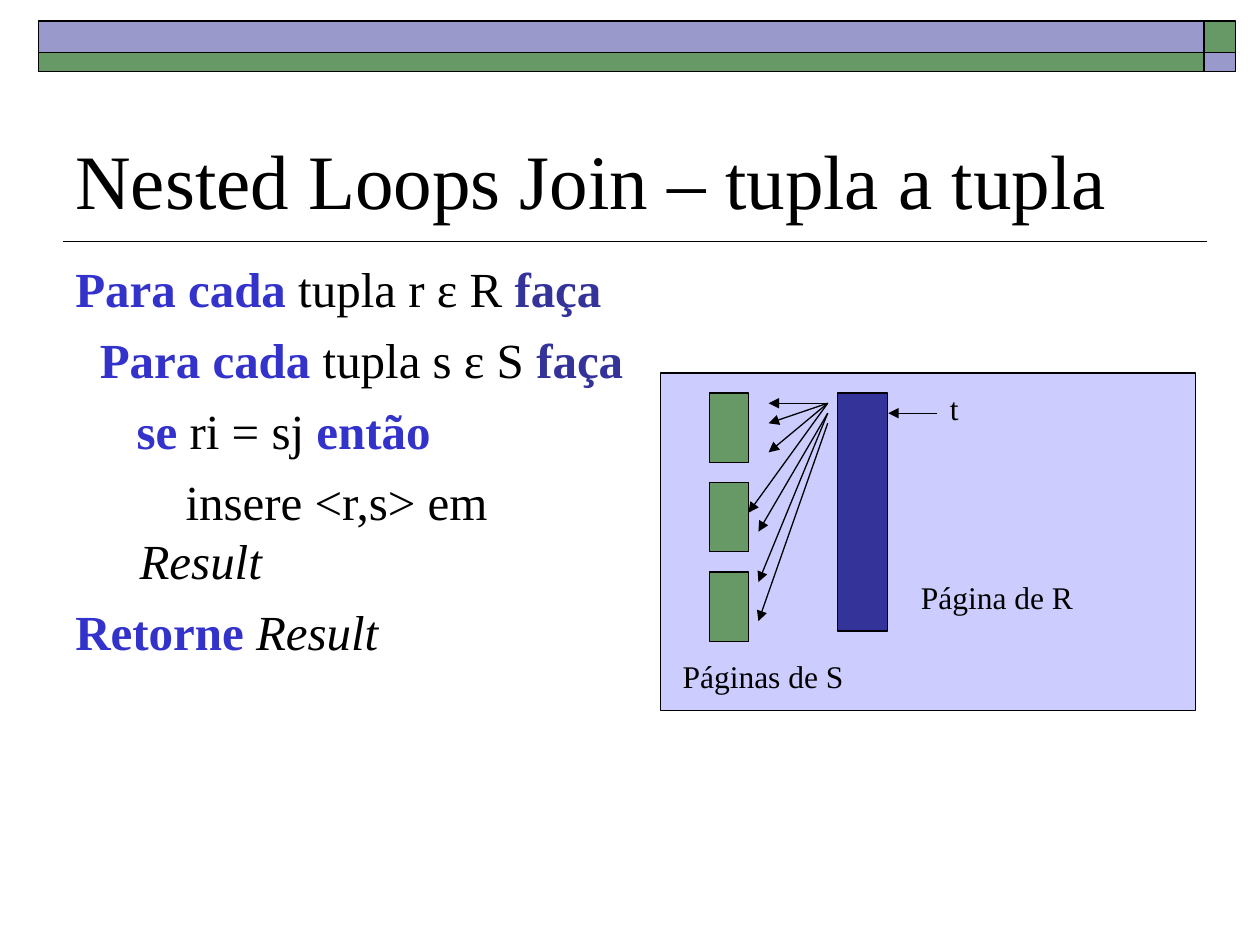
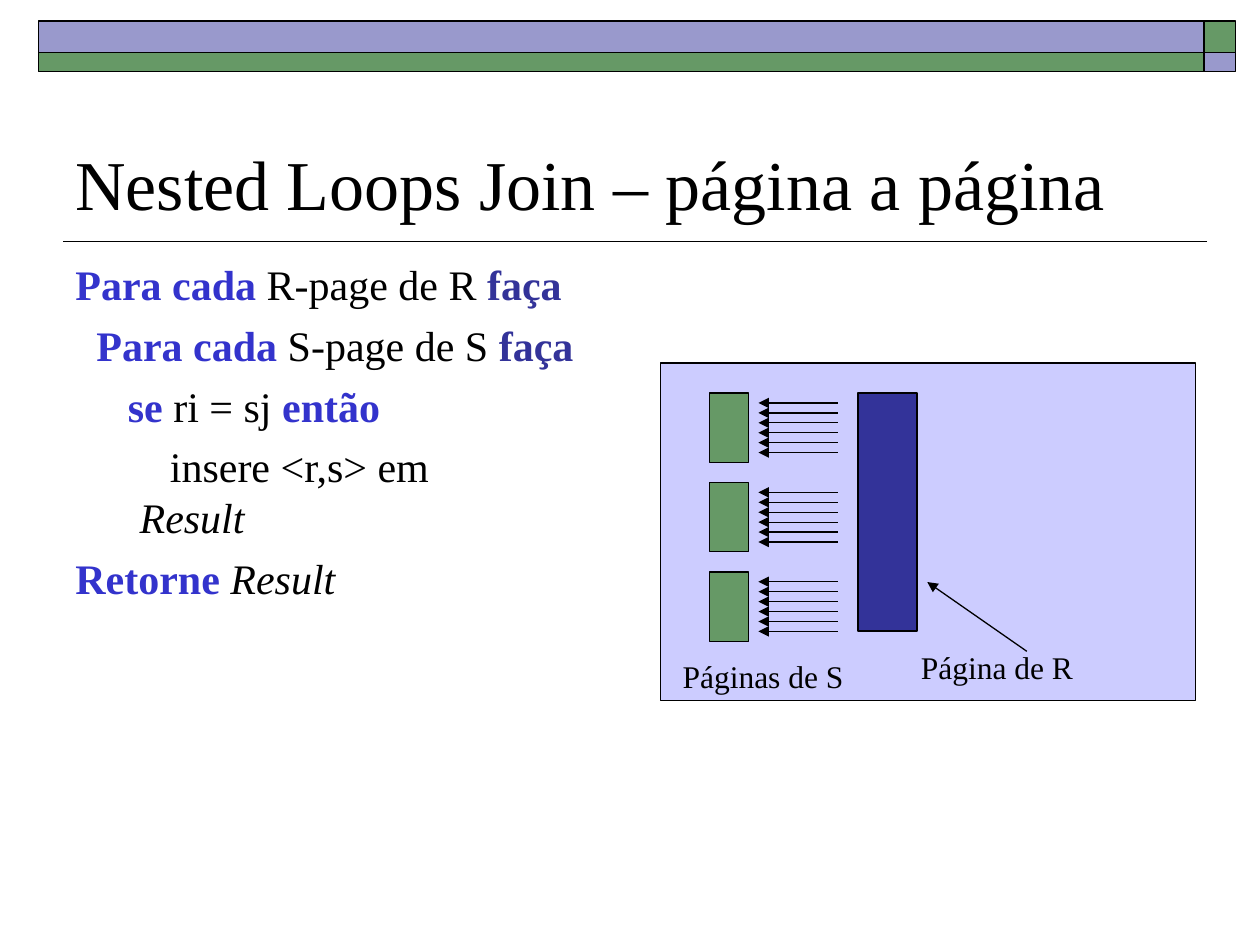
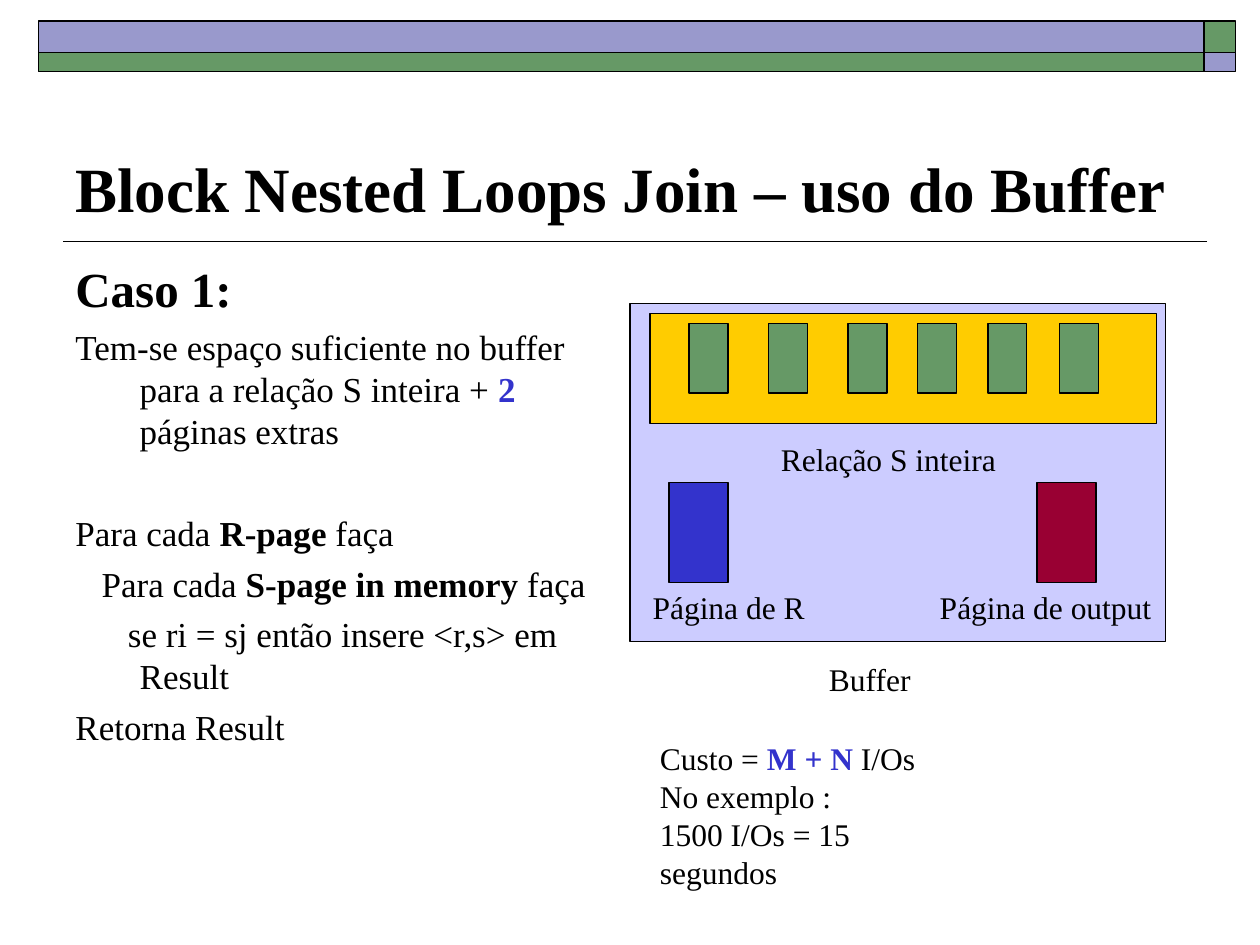
from lxml.etree import SubElement
from pptx import Presentation
from pptx.dml.color import RGBColor
from pptx.enum.shapes import MSO_CONNECTOR, MSO_SHAPE
from pptx.enum.text import MSO_ANCHOR
from pptx.oxml.ns import qn
from pptx.util import Pt

FONT = "Times New Roman"
BLACK = RGBColor(0x00, 0x00, 0x00)
GREEN = RGBColor(0x66, 0x99, 0x66)
LILAC = RGBColor(0x99, 0x99, 0xCC)
PALE = RGBColor(0xCC, 0xCC, 0xFF)
BLUE = RGBColor(0x33, 0x33, 0xCC)
NAVY = RGBColor(0x33, 0x33, 0x99)
GOLD = RGBColor(0xFF, 0xCC, 0x00)
WINE = RGBColor(0x99, 0x00, 0x33)

PLAIN = {}
BOLD = {"bold": True}
ITALIC = {"italic": True}
KEYWORD = {"bold": True, "rgb": BLUE}
DO = {"bold": True, "rgb": NAVY}

HANG = 36.72
PAGE_W, PAGE_H = 22.3, 39.6
PAGES_X, PAGES_Y, PAGES_STEP = 405.4, 224.6, 51.1
ARROW_STEP = 5.67


def add_rect(s, x, y, w, h, fill, line=0.75):
    """Add an outlined rectangle."""
    sp = s.shapes.add_shape(MSO_SHAPE.RECTANGLE, Pt(x), Pt(y), Pt(w), Pt(h))
    sp.shadow.inherit = False
    sp.fill.solid()
    sp.fill.fore_color.rgb = fill
    sp.line.color.rgb = BLACK
    sp.line.width = Pt(line)


def add_line(s, x1, y1, x2, y2, width=0.75, arrow=True):
    """Add a straight line, with an arrowhead at its end by default."""
    c = s.shapes.add_connector(MSO_CONNECTOR.STRAIGHT, Pt(x1), Pt(y1), Pt(x2), Pt(y2))
    c.line.color.rgb = BLACK
    c.line.width = Pt(width)
    if arrow:
        SubElement(c.line._get_or_add_ln(), qn("a:tailEnd"), type="triangle")
    SubElement(c._element.spPr, qn("a:effectLst"))


def add_runs(p, runs, size):
    """Fill a paragraph with formatted runs; None is a line break."""
    for run in runs:
        if run is None:
            p.add_line_break()
            continue
        text, fmt = run
        r = p.add_run()
        r.text = text
        values = {"name": FONT, "size": Pt(size), "rgb": BLACK, **fmt}
        for name, value in values.items():
            setattr(r.font.color if name == "rgb" else r.font, name, value)


def add_text(s, x, y, w, h, paras, size, wrap=True, anchor=MSO_ANCHOR.TOP):
    """Add a text box and return its text frame."""
    tf = s.shapes.add_textbox(Pt(x), Pt(y), Pt(w), Pt(h)).text_frame
    tf.word_wrap = wrap
    tf.vertical_anchor = anchor
    for i, runs in enumerate(paras):
        p = tf.add_paragraph() if i else tf.paragraphs[0]
        add_runs(p, runs, size)
    return tf


def add_label(s, x, y, w, text):
    """Add a one-line diagram label."""
    add_text(s, x, y, w, 28.8, [[(text, PLAIN)]], 18, wrap=False)


def add_body(s, w, rows):
    """Add hanging paragraphs given as (size, space before, first indent, runs)."""
    tf = add_text(s, 36, 144, w, 338.4, [[] for _ in rows], 20)
    for p, (size, before, first, runs) in zip(tf.paragraphs, rows):
        pPr = p._p.get_or_add_pPr()
        pPr.set("marL", str(Pt(HANG)))
        pPr.set("indent", str(Pt(first - HANG)))
        p.space_before = Pt(before)
        add_runs(p, runs, size)


def add_join_code(s, w, size, before, outer, inner):
    """Add the nested loops pseudocode."""
    space = size / 4
    lines = [
        (0, [("Para cada", KEYWORD), (f" {outer} ", PLAIN), ("faça", DO)]),
        (2, [("Para cada", KEYWORD), (f" {inner} ", PLAIN), ("faça", DO)]),
        (5, [("se", KEYWORD), (" ri = sj ", PLAIN), ("então", KEYWORD)]),
        (9, [("insere <r,s> em", PLAIN), None, ("Result", ITALIC)]),
        (0, [("Retorne", KEYWORD), (" Result", ITALIC)]),
    ]
    add_body(s, w, [(size, before if i else 0, depth * space, runs)
                    for i, (depth, runs) in enumerate(lines)])


def add_relations(s, panel_y, r_x, r_w, r_label_y):
    """Add the panel with the pages of S beside a page of R."""
    add_rect(s, 377.3, panel_y, 306, 193, PALE)
    for i in range(3):
        add_rect(s, PAGES_X, PAGES_Y + i * PAGES_STEP, PAGE_W, PAGE_H, GREEN)
    add_rect(s, r_x, PAGES_Y, r_w, 136.1, NAVY)
    add_label(s, 383, 372.2, 106.6, "Páginas de S")
    add_label(s, 519.1, r_label_y, 101.5, "Página de R")


def add_base(prs, title, size, fmt=PLAIN):
    """Add a slide with the shared bands, rule and title."""
    s = prs.slides.add_slide(prs.slide_layouts[6])
    add_line(s, 689.8, 138, 36, 138, width=1, arrow=False)
    for y, h, wide, corner in ((12, 18, LILAC, GREEN), (30, 11, GREEN, LILAC)):
        add_rect(s, 688, y, 18, h, corner, line=1)
        add_rect(s, 22, y, 666, h, wide, line=1)
    add_text(s, 36, 42, 648, 90, [[(title, fmt)]], size, anchor=MSO_ANCHOR.BOTTOM)
    return s


def add_tuple_slide(prs):
    """Add the tuple by tuple join."""
    s = add_base(prs, "Nested Loops Join – tupla a tupla", 44)
    add_join_code(s, 329.8, 28, 7, "tupla r ε R", "tupla s ε S")
    add_relations(s, 213.1, 478.8, 28.3, 326.9)
    add_label(s, 535.7, 218.9, 19.4, "t")
    add_line(s, 535.7, 236.1, 507.6, 236.1)
    targets = ((230.4, 439.2, 230.4), (230.4, 439.2, 241.9), (230.4, 439.2, 258.5),
               (230.4, 427.7, 293), (236.1, 433.4, 303.8), (236.1, 433.4, 332.6),
               (241.9, 433.4, 355))
    for y1, x2, y2 in targets:
        add_line(s, 473, y1, x2, y2)


def add_page_slide(prs):
    """Add the page by page join."""
    s = add_base(prs, "Nested Loops Join – página a página", 40)
    add_join_code(s, 318.2, 24, 6, "R-page de R", "S-page de S")
    add_relations(s, 207.4, 490.3, 33.8, 366.5)
    for i in range(3):
        for j in range(6):
            y = PAGES_Y + i * PAGES_STEP + (j + 1) * ARROW_STEP
            add_line(s, 478.8, y, 433.4, y)
    add_line(s, 586.8, 372.2, 529.9, 332.6)


def add_buffer_slide(prs):
    """Add the block join with its buffer."""
    s = add_base(prs, "Block Nested Loops Join – uso do Buffer", 36, BOLD)
    add_body(s, 318.2, [
        (28, 0, 0, [("Caso 1:", BOLD)]),
        (20, 5, 0, [("Tem-se espaço suficiente no buffer para a relação S inteira + ", PLAIN),
                    ("2 ", KEYWORD), ("páginas extras", PLAIN)]),
        (20, 34, 0, [("Para cada ", PLAIN), ("R-page", BOLD), (" faça", PLAIN)]),
        (20, 5, 15, [("Para cada ", PLAIN), ("S-page in memory", BOLD), (" faça", PLAIN)]),
        (20, 5, 30, [("se ri = sj então insere <r,s> em Result", PLAIN)]),
        (20, 5, 0, [("Retorna Result", PLAIN)]),
    ])
    add_rect(s, 360, 173.5, 306, 193, PALE)
    add_rect(s, 371.5, 179.3, 289.4, 62.6, GOLD)
    for x in (393.8, 439.2, 484.6, 524.2, 564.5, 605.5):
        add_rect(s, x, 185, PAGE_W, PAGE_H, GREEN)
    for x, fill in ((382.3, BLUE), (592.6, WINE)):
        add_rect(s, x, 275.8, 33.8, 56.9, fill)
    for x, y, w, text in ((439.2, 247.7, 146.2, "Relação S inteira"),
                          (365.8, 332.6, 101.5, "Página de R"),
                          (529.9, 332.6, 135.4, "Página de output"),
                          (466.6, 373.7, 65.5, "Buffer")):
        add_label(s, x, y, w, text)
    add_text(s, 370, 419, 166.3, 93.6, [
        [("Custo = ", PLAIN), ("M + N", KEYWORD), (" I/Os", PLAIN)],
        [("No exemplo :", PLAIN)],
        [("1500 I/Os = 15 segundos", PLAIN)],
    ], 18)


def main():
    """Build and save the slides."""
    prs = Presentation()
    prs.slide_width, prs.slide_height = Pt(720), Pt(540)
    add_tuple_slide(prs)
    add_page_slide(prs)
    add_buffer_slide(prs)
    prs.save("out.pptx")


if __name__ == "__main__":
    main()
